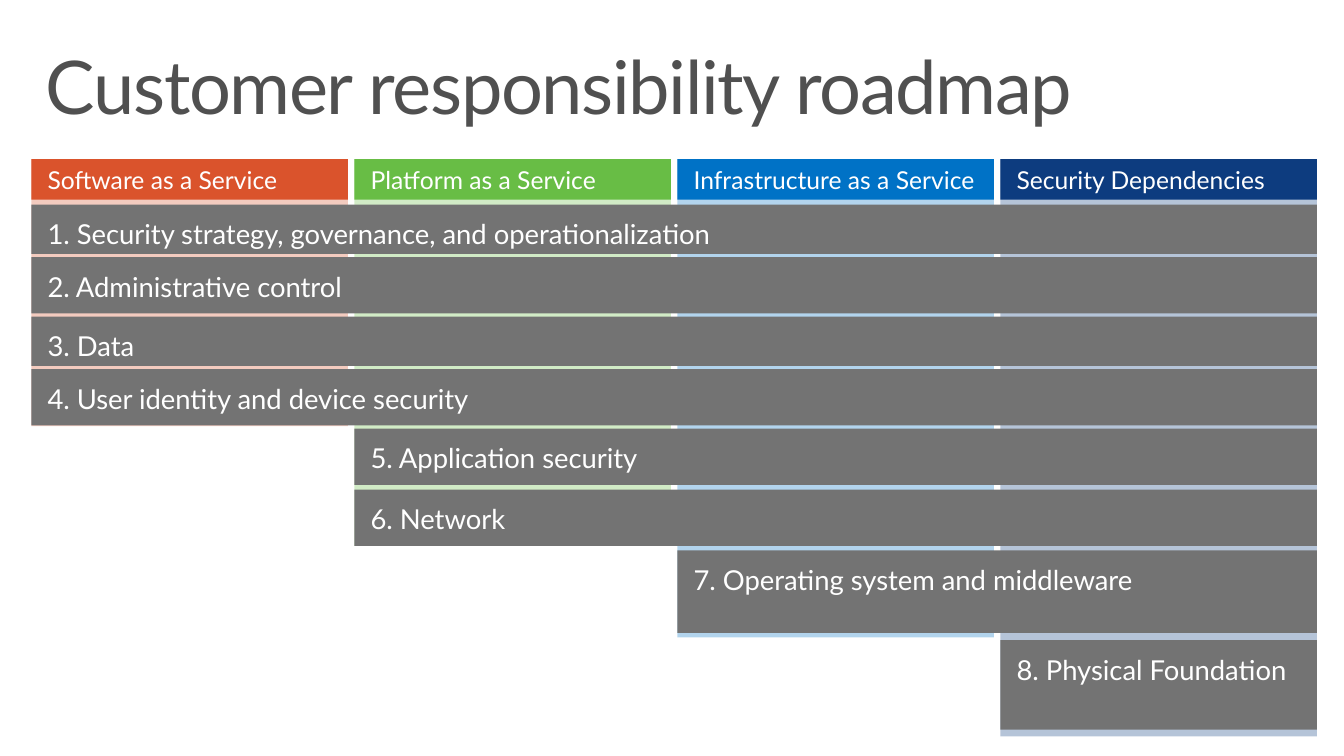
import lxml.etree
import pptx
import pptx.dml.color
import pptx.enum.shapes
import pptx.enum.text
import pptx.oxml.ns
import pptx.util
from dataclasses import dataclass
from pptx.util import Cm


@dataclass(frozen=True)
class Theme:
    font: str = "Lato"
    title_color: str = "505050"
    text_color: str = "FFFFFF"
    bar_color: str = "737373"
    software: str = "DA532C"
    platform: str = "68BD45"
    infrastructure: str = "0072C6"
    security: str = "0D3C7F"
    band_alpha: int = 30
    title_size: float = 52.9
    header_size: float = 17.6
    bar_size: float = 19.6


theme = Theme()
anchors = pptx.enum.text.MSO_ANCHOR


def add_rectangle(left, top, width, height, color, alpha=None):
    shape = slide.shapes.add_shape(
        pptx.enum.shapes.MSO_SHAPE.RECTANGLE, Cm(left), Cm(top), Cm(width), Cm(height)
    )
    shape.shadow.inherit = False
    shape.fill.solid()
    shape.fill.fore_color.rgb = pptx.dml.color.RGBColor.from_string(color)
    shape.line.fill.background()
    if alpha is not None:
        color_element = shape.element.spPr.find(".//" + pptx.oxml.ns.qn("a:srgbClr"))
        alpha_element = lxml.etree.SubElement(color_element, pptx.oxml.ns.qn("a:alpha"))
        alpha_element.set("val", str(alpha * 1000))
    return shape


def write_text(shape, text, size, color=theme.text_color, top=0, right=0.2,
               anchor=anchors.TOP, line_spacing=None, tracking=None):
    frame = shape.text_frame
    frame.word_wrap = True
    frame.vertical_anchor = anchor
    frame.margin_left, frame.margin_right = Cm(0.41), Cm(right)
    frame.margin_top, frame.margin_bottom = Cm(top), Cm(0)
    paragraph = frame.paragraphs[0]
    paragraph.alignment = pptx.enum.text.PP_ALIGN.LEFT
    paragraph.line_spacing = line_spacing
    run = paragraph.add_run()
    run.text = text
    run.font.name = theme.font
    run.font.size = pptx.util.Pt(size)
    run.font.color.rgb = pptx.dml.color.RGBColor.from_string(color)
    if tracking is not None:
        run.font._element.set("spc", str(tracking))


presentation = pptx.Presentation()
presentation.slide_width = Cm(33.87)
presentation.slide_height = Cm(19.05)
slide = presentation.slides.add_slide(presentation.slide_layouts[6])

title = slide.shapes.add_textbox(Cm(0.75), Cm(1.02), Cm(29.87), Cm(2.79))
write_text(title, "Customer responsibility roadmap", theme.title_size,
           color=theme.title_color, top=0.25, right=0.41, line_spacing=0.9, tracking=-100)

first_left = 0.79
column_step = 8.14
column_width = 7.98
header_top = 4.01
header_height = 1.02
right_edge = first_left + 3 * column_step + column_width

services = [
    ("Software as a Service", theme.software, 6.73),
    ("Platform as a Service", theme.platform, 9.75),
    ("Infrastructure as a Service", theme.infrastructure, 12.05),
    ("Security Dependencies", theme.security, 14.55),
]
for column, (name, color, band_height) in enumerate(services):
    left = first_left + column * column_step
    add_rectangle(left, header_top, column_width, band_height, color, theme.band_alpha)
    header = add_rectangle(left, header_top, column_width, header_height, color)
    write_text(header, name, theme.header_size, anchor=anchors.MIDDLE)

responsibilities = [
    ("1. Security strategy, governance, and operationalization", 0, 5.16, 1.24),
    ("2. Administrative control", 0, 6.48, 1.42),
    ("3. Data", 0, 7.98, 1.24),
    ("4. User identity and device security", 0, 9.3, 1.42),
    ("5. Application security", 1, 10.8, 1.42),
    ("6. Network", 1, 12.34, 1.42),
    ("7. Operating system and middleware", 2, 13.87, 2.08),
    ("8. Physical Foundation", 3, 16.13, 2.26),
]
for name, column, top, height in responsibilities:
    left = first_left + column * column_step
    bar = add_rectangle(left, top, right_edge - left, height, theme.bar_color)
    write_text(bar, name, theme.bar_size, top=0.32)

presentation.save("out.pptx")
